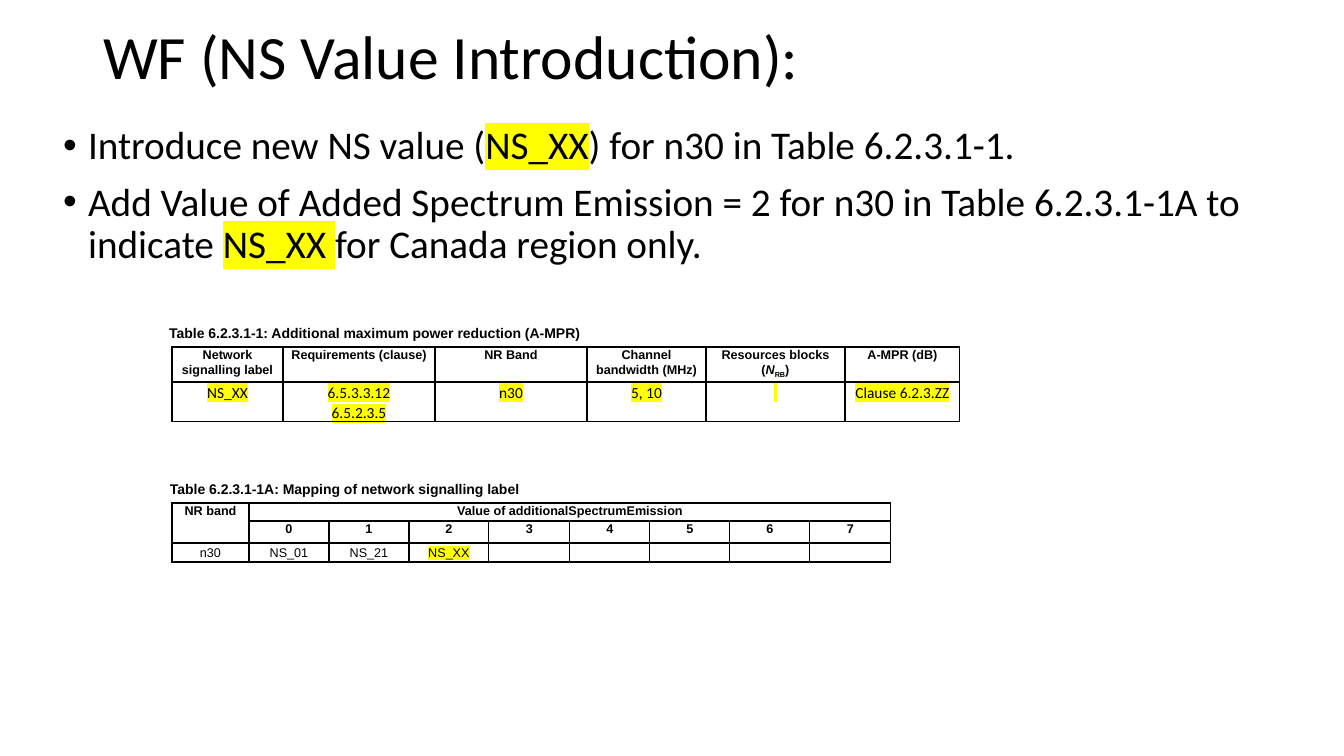
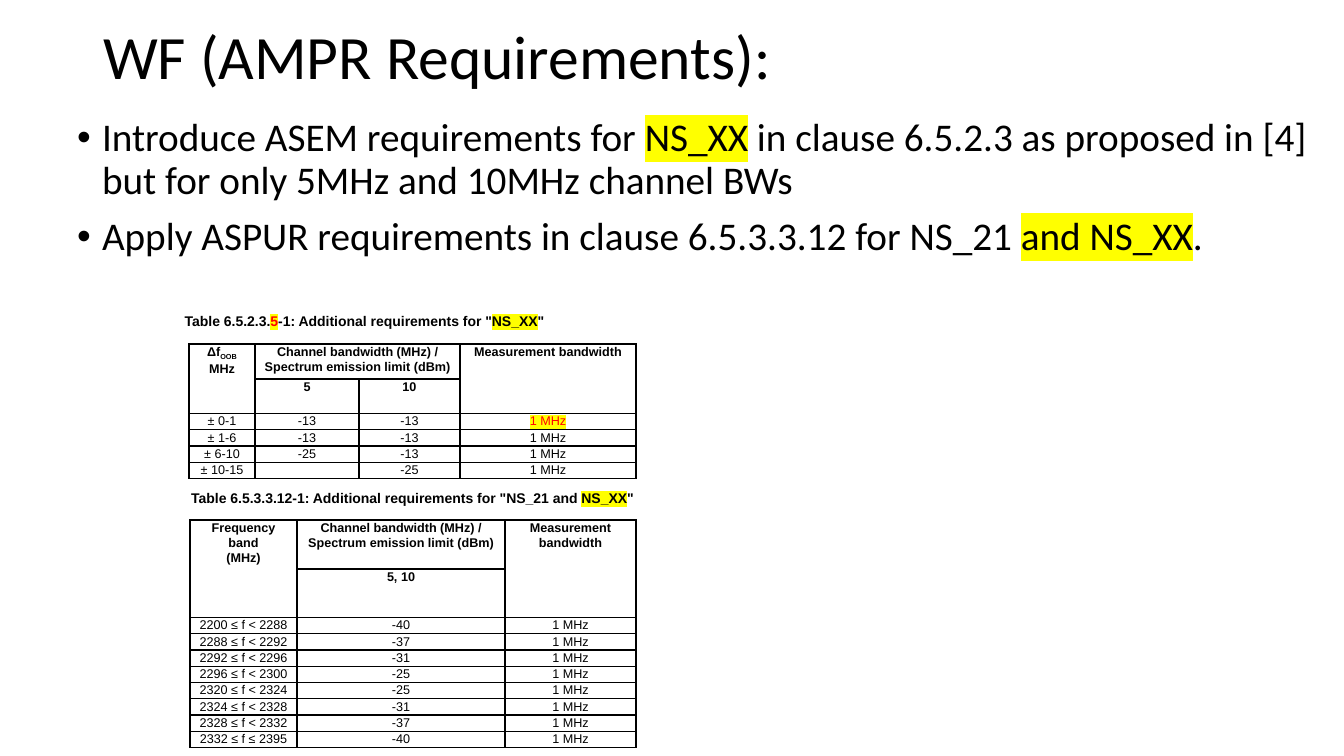
import lxml.etree
import pptx
import pptx.dml.color
import pptx.enum.text
import pptx.oxml.ns
import pptx.util

Pt = pptx.util.Pt
qn = pptx.oxml.ns.qn
ALIGN = pptx.enum.text.PP_ALIGN
ANCHOR = pptx.enum.text.MSO_ANCHOR
BLACK = pptx.dml.color.RGBColor(0, 0, 0)
RED = pptx.dml.color.RGBColor(255, 0, 0)
YELLOW = pptx.dml.color.RGBColor(255, 255, 0)

# Text is a list of paragraphs, a paragraph a list of runs.
# A run is a string or (string, marks): h highlight, r red, i italic, s subscript.
NEW = ("NS_XX", "h")
LIMIT = "Channel bandwidth (MHz) / Spectrum emission limit (dBm)"
MHZ = "1 MHz"

REDUCE = {
    "at": (172, 347), "cols": [111, 152, 152, 119, 139, 115], "rows": [35, 39],
    "heads": 1, "body": ("Calibri", 11),
    "cells": [
        ["Network signalling label", "Requirements (clause)", "NR Band",
         "Channel bandwidth (MHz)",
         [["Resources blocks (", ("N", "i"), ("RB", "s"), ")"]], "A-MPR (dB)"],
        [[[NEW]], [[("6.5.3.3.12", "h")], [("6.5.2.3.5", "h")]], [[("n30", "h")]],
         [[("5, 10", "h")]], [[(" ", "h")]], [[("Clause 6.2.3.ZZ", "h")]]],
    ],
}
LABELS = {
    "at": (172, 503), "cols": [77] + [80, 80, 80, 81] * 2, "rows": [18, 22, 19],
    "heads": 2, "middle": True, "spans": [(0, 0, 1, 0), (0, 1, 0, 8)],
    "cells": [
        ["NR band", "Value of additionalSpectrumEmission"],
        [""] + [str(n) for n in range(8)],
        ["n30", "NS_01", "NS_21", [[NEW]]],
    ],
}
EMIT = {
    "at": (189, 344), "cols": [66, 104, 101, 176], "rows": [35] + [16] * 5,
    "heads": 2, "spans": [(0, 0, 1, 0), (0, 1, 0, 2), (0, 3, 1, 3)],
    "cells": [
        [[["Δf", ("OOB", "s")], ["MHz"]], LIMIT, "", "Measurement bandwidth"],
        ["", "5", "10"],
        ["± 0-1", "-13", "-13", [[(MHZ, "hr")]]],
        ["± 1-6", "-13", "-13", MHZ],
        ["± 6-10", "-25", "-13", MHZ],
        ["± 10-15", "", "-25", MHZ],
    ],
}
BANDS = [
    ("2200 ≤ f < 2288", "-40"), ("2288 ≤ f < 2292", "-37"),
    ("2292 ≤ f < 2296", "-31"), ("2296 ≤ f < 2300", "-25"),
    ("2320 ≤ f < 2324", "-25"), ("2324 ≤ f < 2328", "-31"),
    ("2328 ≤ f < 2332", "-37"), ("2332 ≤ f ≤ 2395", "-40"),
]
SPURS = {
    "at": (190, 520), "cols": [107, 208, 131], "rows": [49] + [16] * 9,
    "heads": 2, "spans": [(0, 0, 1, 0), (0, 2, 1, 2)],
    "cells": [
        [[["Frequency band"], ["(MHz)"]], LIMIT, "Measurement bandwidth"],
        ["", "5, 10"],
    ] + [[band, power, MHZ] for band, power in BANDS],
}

SLIDES = [
    {
        "title": "WF (NS Value Introduction):",
        "box": (53, 121, 1254, 152),
        "points": [
            ["Introduce new NS value (", NEW, ") for n30 in Table 6.2.3.1-1."],
            ["Add Value of Added Spectrum Emission = 2 for n30 in Table 6.2.3.1-1A "
             "to indicate ", ("NS_XX ", "h"), "for Canada region only."],
        ],
        "tables": [
            ((39, 320), ["Table 6.2.3.1-1: Additional maximum power reduction (A-MPR)"],
             REDUCE),
            ((9, 476), ["Table 6.2.3.1-1A: Mapping of network signalling label"], LABELS),
        ],
    },
    {
        "title": "WF (AMPR Requirements):",
        "box": (67, 113, 1254, 156),
        "points": [
            ["Introduce ASEM requirements for ", NEW,
             " in clause 6.5.2.3 as proposed in [4] but for only 5MHz and 10MHz "
             "channel BWs"],
            ["Apply ASPUR requirements in clause 6.5.3.3.12 for NS_21 ",
             ("and NS_XX", "h"), "."],
        ],
        "tables": [
            ((29, 308), ["Table 6.5.2.3.", ("5", "hr"),
                         "-1: Additional requirements for \"", NEW, "\""], EMIT),
            ((77, 485), ["Table 6.5.3.3.12-1: Additional requirements for \"NS_21 and ",
                         NEW, "\""], SPURS),
        ],
    },
]


def px(n):
    return round(n * 914400 / 100.8)


def place(shape, box):
    shape.left, shape.top, shape.width, shape.height = map(px, box)


def write(frame, text, face, size, bold=False, align=ALIGN.LEFT, line=None, gap=0):
    """Fill a frame run by run."""
    frame.word_wrap = True
    for n, runs in enumerate(text):
        para = frame.paragraphs[0] if n == 0 else frame.add_paragraph()
        para.alignment, para.line_spacing = align, line
        para.space_before = Pt(gap if n else 0)
        for item in runs:
            words, marks = (item, "") if isinstance(item, str) else item
            run = para.add_run()
            run.text = words
            font = run.font
            font.name, font.size, font.bold = face, Pt(size), bold
            font.italic = "i" in marks
            font.color.rgb = RED if "r" in marks else BLACK
            props = run._r.get_or_add_rPr()
            if "s" in marks:
                props.set("baseline", "-25000")
            if "h" in marks:
                glow = props.makeelement(qn("a:highlight"))
                lxml.etree.SubElement(glow, qn("a:srgbClr"), val=str(YELLOW))
                props.find(qn("a:solidFill")).addnext(glow)
        if not runs:
            para._p.get_or_add_endParaRPr().set("sz", str(size * 100))


def frame_cell(cell):
    """Give a cell thin black borders and no fill."""
    props = cell._tc.get_or_add_tcPr()
    for side in ("lnL", "lnR", "lnT", "lnB"):
        edge = lxml.etree.SubElement(props, qn("a:" + side), w=str(Pt(1)))
        fill = lxml.etree.SubElement(edge, qn("a:solidFill"))
        lxml.etree.SubElement(fill, qn("a:srgbClr"), val=str(BLACK))
    cell.fill.background()


def add_grid(slide, data):
    cols, rows = data["cols"], data["rows"]
    box = (*data["at"], sum(cols), sum(rows))
    grid = slide.shapes.add_table(len(rows), len(cols), *map(px, box)).table
    grid.first_row = grid.horz_banding = False
    for col, width in zip(grid.columns, cols):
        col.width = px(width)
    for r, high in enumerate(rows):
        grid.rows[r].height = px(high)
        head = r < data["heads"]
        face, size = ("Arial", 9) if head else data.get("body", ("Arial", 9))
        texts = data["cells"][r]
        for c in range(len(cols)):
            text = texts[c] if c < len(texts) else ""
            if isinstance(text, str):
                text = [[text] if text else []]
            cell = grid.cell(r, c)
            cell.margin_left = cell.margin_right = px(7)
            cell.margin_top = cell.margin_bottom = 0
            middle = data.get("middle") and not head
            cell.vertical_anchor = ANCHOR.MIDDLE if middle else ANCHOR.TOP
            write(cell.text_frame, text, face, size, head, ALIGN.CENTER, 1.07)
            frame_cell(cell)
    for top, left, low, right in data.get("spans", []):
        grid.cell(top, left).merge(grid.cell(low, right))


def add_page(deck, page):
    slide = deck.slides.add_slide(deck.slide_layouts[1])
    # Title
    title = slide.shapes.title
    place(title, (93, 18, 1159, 83))
    title.text_frame.auto_size = pptx.enum.text.MSO_AUTO_SIZE.NONE
    title.text_frame.vertical_anchor = ANCHOR.MIDDLE
    write(title.text_frame, [[page["title"]]], "Calibri", 44, line=0.9)
    # Bullet points
    body = slide.placeholders[1]
    place(body, page["box"])
    body.text_frame.auto_size = pptx.enum.text.MSO_AUTO_SIZE.NONE
    write(body.text_frame, page["points"], "Calibri", 28, line=0.9, gap=10)
    for para in body.text_frame.paragraphs:
        props = para._p.get_or_add_pPr()
        props.set("marL", str(px(25)))
        props.set("indent", str(-px(25)))
    # Captions and tables
    for spot, words, data in page["tables"]:
        label = slide.shapes.add_textbox(*map(px, (*spot, 671, 27)))
        write(label.text_frame, [words], "Arial", 10, True, ALIGN.CENTER)
        add_grid(slide, data)


def main():
    deck = pptx.Presentation()
    deck.slide_width, deck.slide_height = px(1344), px(756)
    for page in SLIDES:
        add_page(deck, page)
    deck.save("out.pptx")


if __name__ == "__main__":
    main()
